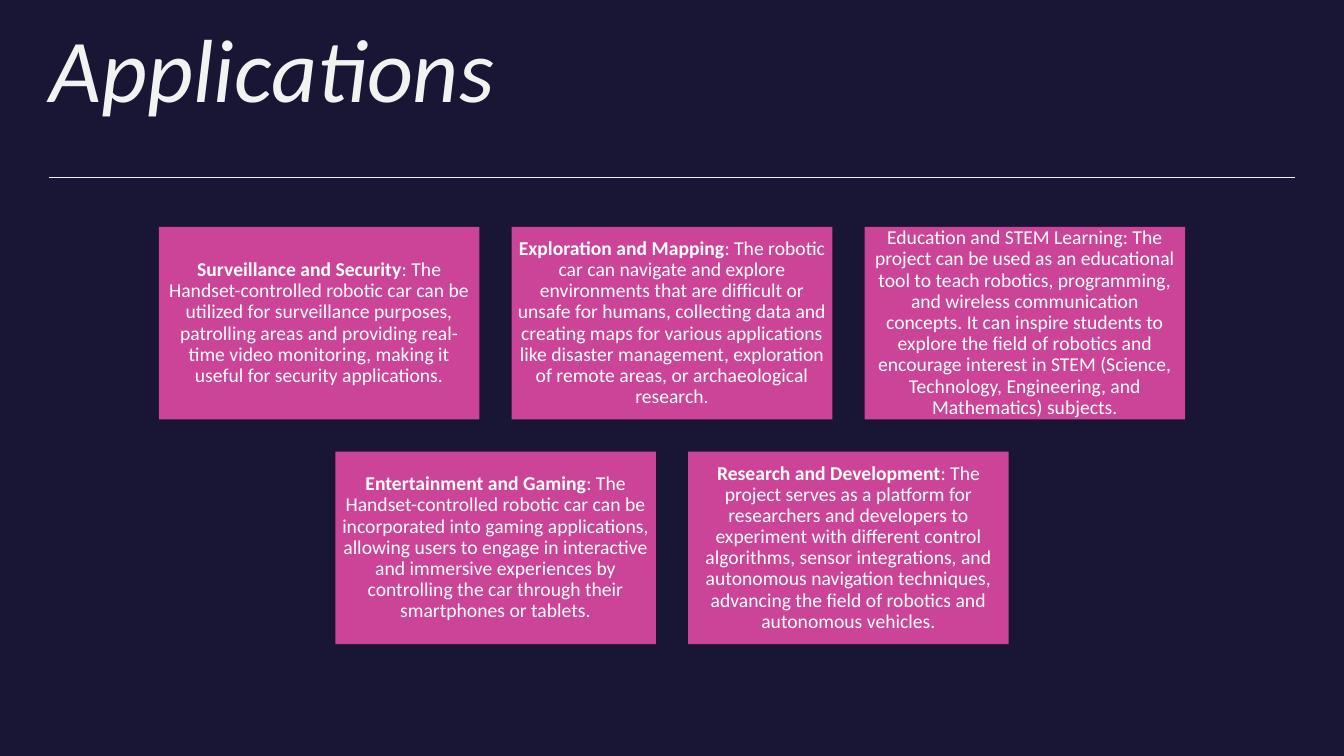
"""Build the Applications slide: a ruled title above two centred rows of cards."""
from lxml.etree import SubElement
from pptx import Presentation
from pptx.dml.color import RGBColor
from pptx.enum.shapes import MSO_CONNECTOR, MSO_SHAPE
from pptx.enum.text import MSO_ANCHOR, MSO_AUTO_SIZE, PP_ALIGN
from pptx.oxml.ns import qn
from pptx.util import Inches, Pt


def color(hex_value):
    return RGBColor.from_string(hex_value)


def add_text(paragraph, text, hex_value, font_format):
    run = paragraph.add_run()
    run.text = text
    run.font.color.rgb = color(hex_value)
    for attribute, value in font_format.items():
        setattr(run.font, attribute, value)


NAVY, PINK, OFF_WHITE, WHITE = "181634", "CC4497", "F0F3F1", "FFFFFF"
SLIDE_WIDTH, SLIDE_HEIGHT = 13.33, 7.5
CARD_WIDTH, CARD_HEIGHT, GAP = 3.18, 1.91, 0.32
CARDS_TOP = 2.25

TITLE_FRAME = {
    "margin_left": 0, "margin_right": 0, "margin_top": 0, "margin_bottom": 0,
    "vertical_anchor": MSO_ANCHOR.TOP, "word_wrap": True,
    "auto_size": MSO_AUTO_SIZE.NONE,
}
CARD_FRAME = {
    "margin_left": Inches(0.06), "margin_right": Inches(0.06),
    "margin_top": Inches(0.06), "margin_bottom": Inches(0.06),
    "vertical_anchor": MSO_ANCHOR.MIDDLE, "word_wrap": True,
}
TITLE_FONT = {"name": "Calibri", "size": Pt(64), "italic": True, "bold": False}
CARD_FONT = {"name": "Calibri", "size": Pt(14)}

application_rows = [
    [
        ("Surveillance and Security",
         ": The Handset-controlled robotic car can be utilized for surveillance "
         "purposes, patrolling areas and providing real-time video monitoring, "
         "making it useful for security applications."),
        ("Exploration and Mapping",
         ": The robotic car can navigate and explore environments that are "
         "difficult or unsafe for humans, collecting data and creating maps for "
         "various applications like disaster management, exploration of remote "
         "areas, or archaeological research."),
        ("",
         "Education and STEM Learning: The project can be used as an educational "
         "tool to teach robotics, programming, and wireless communication "
         "concepts. It can inspire students to explore the field of robotics and "
         "encourage interest in STEM (Science, Technology, Engineering, and "
         "Mathematics) subjects."),
    ],
    [
        ("Entertainment and Gaming",
         ": The Handset-controlled robotic car can be incorporated into gaming "
         "applications, allowing users to engage in interactive and immersive "
         "experiences by controlling the car through their smartphones or "
         "tablets."),
        ("Research and Development",
         ": The project serves as a platform for researchers and developers to "
         "experiment with different control algorithms, sensor integrations, and "
         "autonomous navigation techniques, advancing the field of robotics and "
         "autonomous vehicles."),
    ],
]

presentation = Presentation()
presentation.slide_width = Inches(SLIDE_WIDTH)
presentation.slide_height = Inches(SLIDE_HEIGHT)
slide = presentation.slides.add_slide(presentation.slide_layouts[5])
slide.background.fill.solid()
slide.background.fill.fore_color.rgb = color(NAVY)

title = slide.shapes.title
title_place = {"left": 0.49, "top": 0.25, "width": 12.36, "height": 1.08}
for attribute, value in title_place.items():
    setattr(title, attribute, Inches(value))
for attribute, value in TITLE_FRAME.items():
    setattr(title.text_frame, attribute, value)
heading = title.text_frame.paragraphs[0]
heading.alignment = PP_ALIGN.LEFT
heading.line_spacing = 0.9
add_text(heading, "Applications", OFF_WHITE, TITLE_FONT)

title_rule = slide.shapes.add_connector(
    MSO_CONNECTOR.STRAIGHT, Inches(0.49), Inches(1.76), Inches(12.84), Inches(1.76))
title_rule.line.color.rgb = color(OFF_WHITE)
title_rule.line.width = Pt(0.5)
SubElement(title_rule._element.spPr, qn("a:effectLst"))

for row, applications in enumerate(application_rows):
    row_width = len(applications) * (CARD_WIDTH + GAP) - GAP
    row_left = (SLIDE_WIDTH - row_width) / 2
    for column, (name, description) in enumerate(applications):
        card = slide.shapes.add_shape(
            MSO_SHAPE.RECTANGLE,
            Inches(row_left + column * (CARD_WIDTH + GAP)),
            Inches(CARDS_TOP + row * (CARD_HEIGHT + GAP)),
            Inches(CARD_WIDTH), Inches(CARD_HEIGHT))
        card.shadow.inherit = False
        card.fill.solid()
        card.fill.fore_color.rgb = color(PINK)
        card.line.fill.background()
        for attribute, value in CARD_FRAME.items():
            setattr(card.text_frame, attribute, value)
        summary = card.text_frame.paragraphs[0]
        summary.alignment = PP_ALIGN.CENTER
        summary.line_spacing = 0.9
        if name:
            add_text(summary, name, WHITE, {**CARD_FONT, "bold": True})
        add_text(summary, description, WHITE, CARD_FONT)

presentation.save("out.pptx")
